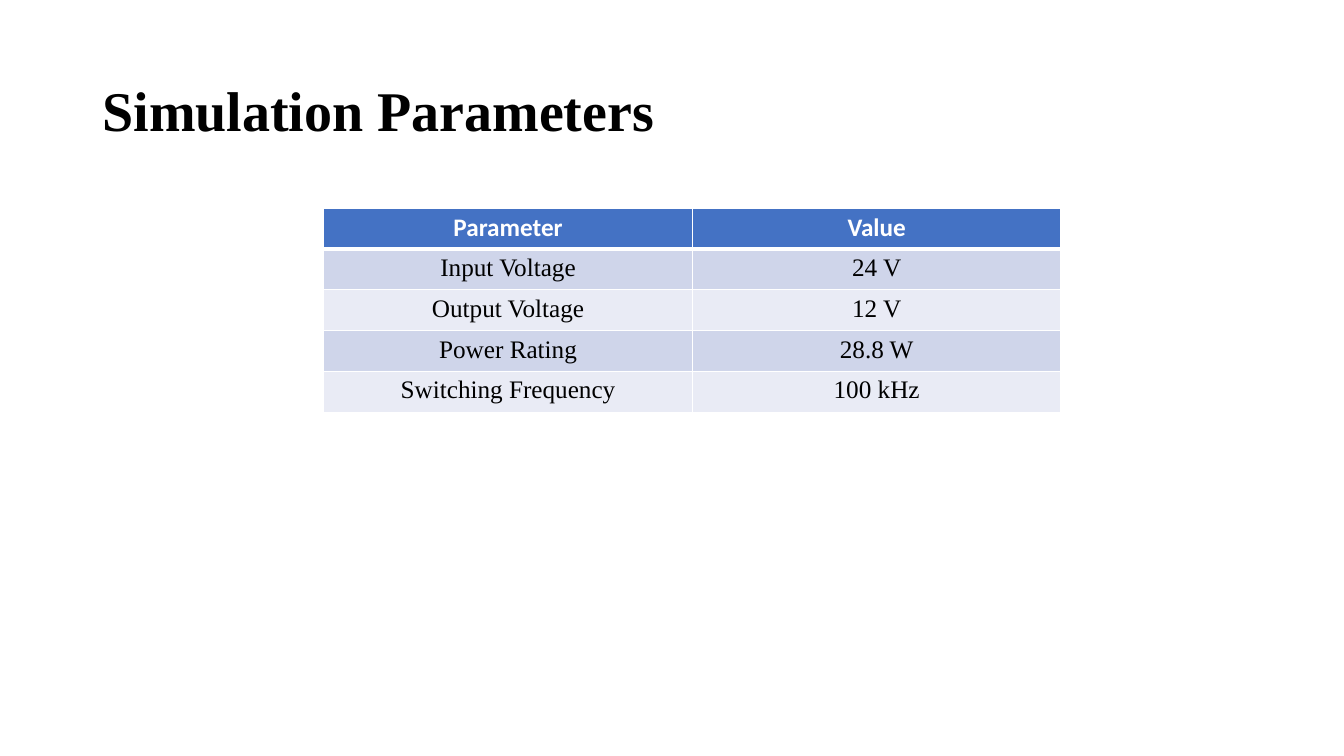
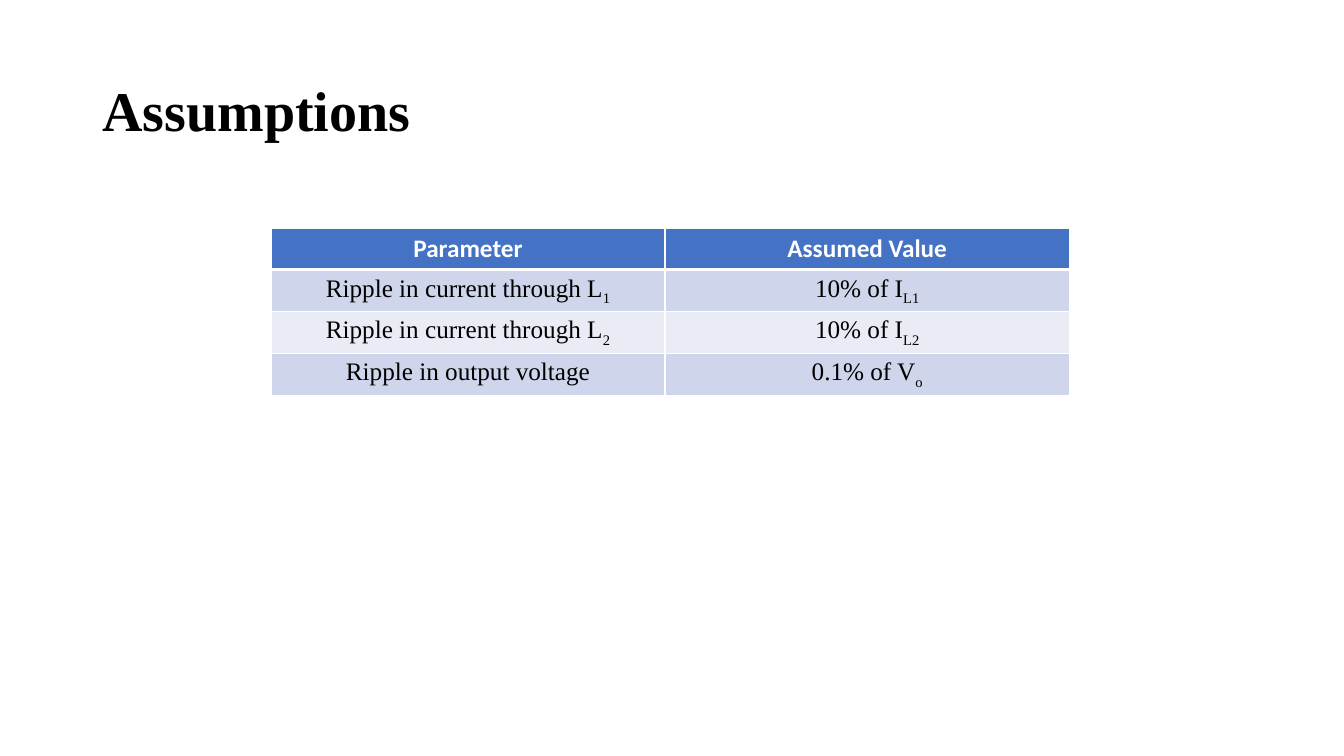
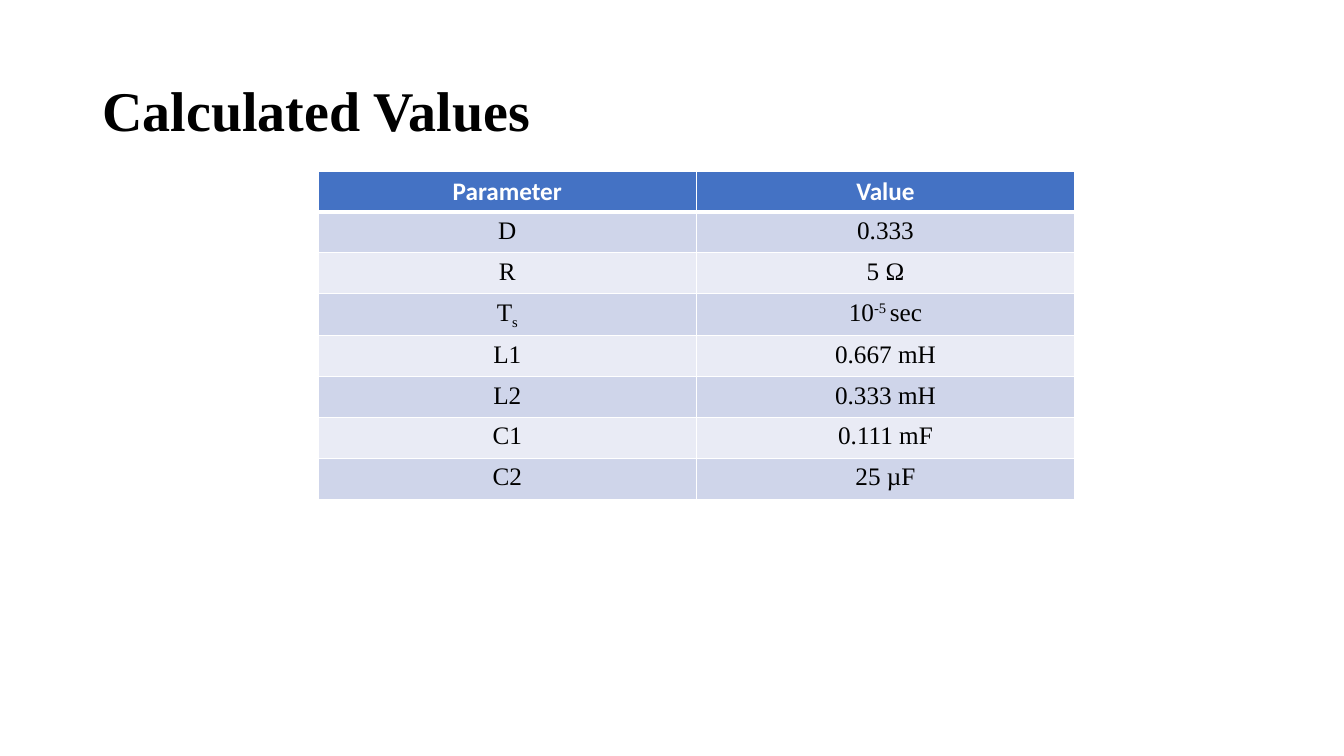
"""Builds three slides of converter parameters, each a title above a two-column table."""
from lxml import etree
from pptx import Presentation
from pptx.dml import color as dml
from pptx.enum import text
from pptx.oxml import ns
from pptx import util as u

COLORS = {
    "ink": "000000",
    "paper": "FFFFFF",
    "header": "4472C4",
    "odd_row": "CFD5EA",
    "even_row": "E9EBF5",
}
SERIF, SANS = "Times New Roman", "Calibri"
SUB, SUPER = "-25000", "30000"
TITLE_BOX = (2.33, 1.01, 29.21, 3.68)
ROW_HEIGHT = 1.03
THIN, THICK = 1, 3

SLIDES = [
    ("Simulation Parameters", (8.16, 5.24), (9.29, 9.29), [
        ("Parameter", "Value"),
        ("Input Voltage", "24 V"),
        ("Output Voltage", "12 V"),
        ("Power Rating", "28.8 W"),
        ("Switching Frequency", "100 kHz"),
    ]),
    ("Assumptions", (6.83, 5.76), (9.93, 10.19), [
        ("Parameter", "Assumed Value"),
        (["Ripple in current through L", ("1", SUB)], ["10% of I", ("L1", SUB)]),
        (["Ripple in current through L", ("2", SUB)], ["10% of I", ("L2", SUB)]),
        ("Ripple in output voltage", ["0.1% of V", ("o", SUB)]),
    ]),
    ("Calculated Values", (8.02, 4.31), (9.53, 9.53), [
        ("Parameter", "Value"),
        ("D", "0.333"),
        ("R", "5 Ω"),
        (["T", ("s", SUB)], ["10", ("-5 ", SUPER), "sec"]),
        ("L1", "0.667 mH"),
        ("L2", "0.333 mH"),
        ("C1", "0.111 mF"),
        ("C2", "25 µF"),
    ]),
]


def rgb(name):
    return dml.RGBColor.from_string(COLORS[name])


def style_font(font, face, size, color, bold):
    font.name, font.size, font.bold = face, u.Pt(size), bold
    font.color.rgb = rgb(color)


def place_title(slide, wording, box):
    title = slide.shapes.title
    title.left, title.top, title.width, title.height = map(u.Cm, box)
    frame = title.text_frame
    frame.text = wording
    frame.auto_size = text.MSO_AUTO_SIZE.NONE
    frame.vertical_anchor = text.MSO_ANCHOR.MIDDLE
    line = frame.paragraphs[0]
    line.alignment = text.PP_ALIGN.LEFT
    line.line_spacing = 0.9
    style_font(line.runs[0].font, SERIF, 40, "ink", True)


def draw_borders(cell, top, bottom):
    properties = cell._tc.get_or_add_tcPr()
    for side, width in (("L", THIN), ("R", THIN), ("T", top), ("B", bottom)):
        border = etree.SubElement(properties, ns.qn(f"a:ln{side}"), w=str(u.Pt(width)))
        fill = etree.SubElement(border, ns.qn("a:solidFill"))
        etree.SubElement(fill, ns.qn("a:srgbClr"), val=COLORS["paper"])


def fill_cell(cell, content, row):
    draw_borders(cell, THICK if row == 1 else THIN, THICK if row == 0 else THIN)
    shade = "header" if row == 0 else "odd_row" if row % 2 else "even_row"
    cell.fill.solid()
    cell.fill.fore_color.rgb = rgb(shade)
    line = cell.text_frame.paragraphs[0]
    line.alignment = text.PP_ALIGN.CENTER
    for part in [content] if isinstance(content, str) else content:
        wording, baseline = (part, None) if isinstance(part, str) else part
        run = line.add_run()
        run.text = wording
        if row == 0:
            style_font(run.font, SANS, 18, "paper", True)
        else:
            style_font(run.font, SERIF, 18, "ink", False)
        if baseline:
            run._r.get_or_add_rPr().set("baseline", baseline)


def place_parameters(slide, corner, widths, rows):
    box = (*corner, sum(widths), ROW_HEIGHT * len(rows))
    parameters = slide.shapes.add_table(len(rows), len(widths), *map(u.Cm, box)).table
    for column, width in zip(parameters.columns, widths):
        column.width = u.Cm(width)
    for row, contents in enumerate(rows):
        parameters.rows[row].height = u.Cm(ROW_HEIGHT)
        for column, content in enumerate(contents):
            fill_cell(parameters.cell(row, column), content, row)


def main():
    deck = Presentation()
    deck.slide_width, deck.slide_height = u.Cm(33.87), u.Cm(19.05)
    title_only = deck.slide_layouts[5]
    for title, corner, widths, rows in SLIDES:
        slide = deck.slides.add_slide(title_only)
        place_title(slide, title, TITLE_BOX)
        place_parameters(slide, corner, widths, rows)
    deck.save("out.pptx")


if __name__ == "__main__":
    main()
